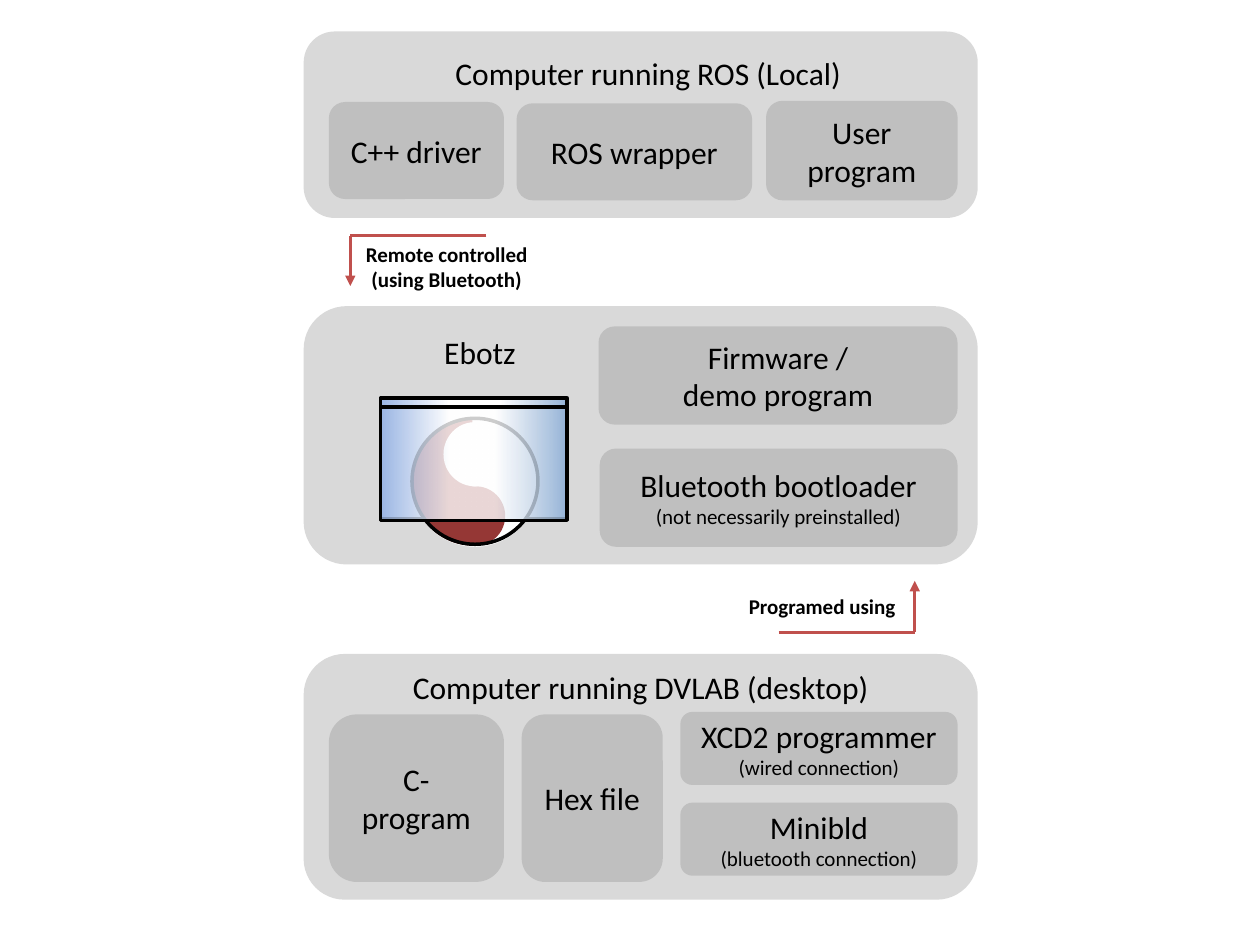
"""Build a slide showing how a small robot is programmed and remote controlled."""
from lxml import etree
from pptx import Presentation
from pptx.dml.color import RGBColor
from pptx.enum.shapes import MSO_CONNECTOR, MSO_SHAPE
from pptx.enum.text import MSO_ANCHOR, MSO_AUTO_SIZE, PP_ALIGN
from pptx.oxml.ns import qn
from pptx.util import Inches, Pt

BLACK, WHITE, ACCENT, MAROON = "000000", "FFFFFF", "C0504D", "953735"
PANEL, BOX = "D9D9D9", "BFBFBF"
PANEL_LEFT, PANEL_WIDTH = 2.41, 5.35

PANELS = [(0.25, 1.48), (2.43, 2.05), (5.19, 1.95)]

BOXES = [
    (2.61, 0.81, 1.39, 0.77, [("C++ driver", 18)]),
    (4.1, 0.82, 1.87, 0.77, [("ROS wrapper", 18)]),
    (6.08, 0.8, 1.52, 0.79, [("User program", 18)]),
    (4.75, 2.59, 2.85, 0.78, [("Firmware /", 18), ("demo program", 18)]),
    (4.76, 3.56, 2.84, 0.78, [("Bluetooth bootloader", 18), ("(not necessarily preinstalled)", 12)]),
    (2.61, 5.67, 1.39, 1.33, [("C-program", 18)]),
    (4.14, 5.67, 1.12, 1.33, [("Hex file", 18)]),
    (5.4, 5.65, 2.2, 0.58, [("XCD2 programmer", 18), ("(wired connection)", 12)]),
    (5.4, 6.37, 2.2, 0.58, [("Minibld", 18), ("(bluetooth connection)", 12)]),
]

LABELS = [
    (2.47, 0.38, 5.35, 0.4, "Computer running ROS (Local)", 18, False),
    (2.48, 2.59, 2.66, 0.4, "Ebotz", 18, False),
    (2.41, 5.25, 5.35, 0.4, "Computer running DVLAB (desktop)", 18, False),
    (2.72, 1.87, 1.65, 0.5, "Remote controlled (using Bluetooth)", 12, True),
    (5.71, 4.66, 1.63, 0.3, "Programed using", 12, True),
]

ELBOWS = [
    [(3.86, 1.87), (2.78, 1.87), (2.78, 2.27)],
    [(6.18, 5.02), (7.26, 5.02), (7.26, 4.61)],
]

BACK_GLASS = [(0, "9AB5E4"), (37, WHITE), (64, WHITE), (100, "95B3D7")]
FRONT_GLASS = [(0, "9AB5E4"), (37, WHITE), (61, WHITE), (100, "95B3D7")]

ROBOT_DISCS = [
    (MSO_SHAPE.OVAL, 3.27, 3.34, 1, 1, WHITE, None),
    (MSO_SHAPE.CHORD, 3.27, 3.33, 0.96, 1, MAROON, None),
    (MSO_SHAPE.OVAL, 3.54, 3.86, 0.47, 0.47, MAROON, None),
    (MSO_SHAPE.OVAL, 3.52, 3.35, 0.5, 0.51, WHITE, None),
    (MSO_SHAPE.OVAL, 3.27, 3.32, 1, 1, None, BLACK),
]


def rgb(value):
    """Return the colour of a hex string."""
    return RGBColor.from_string(value)


def add_part(shapes, kind, left, top, width, height, fill=None, line=None):
    """Add a flat preset shape."""
    part = shapes.add_shape(kind, *map(Inches, (left, top, width, height)))
    part.shadow.inherit = False
    if fill:
        part.fill.solid()
        part.fill.fore_color.rgb = rgb(fill)
    else:
        part.fill.background()
    if line:
        part.line.color.rgb = rgb(line)
        part.line.width = Pt(2)
    else:
        part.line.fill.background()
    return part


def set_gradient(part, stops, opacity=100):
    """Give a shape a left-to-right gradient."""
    part.fill.gradient()
    part.fill.gradient_angle = 0
    stop_list = part._element.spPr.find(qn("a:gradFill")).find(qn("a:gsLst"))
    for old in list(stop_list):
        stop_list.remove(old)
    for position, value in stops:
        stop = etree.SubElement(stop_list, qn("a:gs"), pos=str(position * 1000))
        colour = etree.SubElement(stop, qn("a:srgbClr"), val=value)
        if opacity < 100:
            etree.SubElement(colour, qn("a:alpha"), val=str(opacity * 1000))


def write(frame, lines, bold=False):
    """Write centred paragraphs of (text, size)."""
    frame.word_wrap = True
    for index, (text, size) in enumerate(lines):
        paragraph = frame.add_paragraph() if index else frame.paragraphs[0]
        paragraph.alignment = PP_ALIGN.CENTER
        run = paragraph.add_run()
        run.text = text
        run.font.name = "Calibri"
        run.font.size = Pt(size)
        run.font.bold = bold
        run.font.color.rgb = rgb(BLACK)


def add_line(shapes, start, end, arrow):
    """Add a straight accent line, with an arrowhead at its end if asked."""
    line = shapes.add_connector(MSO_CONNECTOR.STRAIGHT, *map(Inches, start + end))
    line.line.color.rgb = rgb(ACCENT)
    line.line.width = Pt(1.5)
    if arrow:
        etree.SubElement(line.line._get_or_add_ln(), qn("a:tailEnd"), type="triangle")
    etree.SubElement(line._element.spPr, qn("a:effectLst"))


def add_robot(shapes):
    """Draw the robot: a two-tone disc behind a glass panel."""
    robot = shapes.add_group_shape().shapes
    back = add_part(robot, MSO_SHAPE.RECTANGLE, 3.02, 3.16, 1.48, 0.96, line=BLACK)
    set_gradient(back, BACK_GLASS)
    for disc in ROBOT_DISCS:
        part = add_part(robot, *disc)
        if disc[0] == MSO_SHAPE.CHORD:
            part.adjustments[0], part.adjustments[1] = 54, 162
    front = add_part(robot, MSO_SHAPE.RECTANGLE, 3.02, 3.23, 1.48, 0.9, line=BLACK)
    set_gradient(front, FRONT_GLASS, 80)


presentation = Presentation()
presentation.slide_width, presentation.slide_height = Inches(10), Inches(7.5)
shapes = presentation.slides.add_slide(presentation.slide_layouts[6]).shapes

for top, height in PANELS:
    add_part(shapes, MSO_SHAPE.ROUNDED_RECTANGLE, PANEL_LEFT, top, PANEL_WIDTH, height, PANEL)

add_robot(shapes)

for *place, lines in BOXES:
    box = add_part(shapes, MSO_SHAPE.ROUNDED_RECTANGLE, *place, BOX)
    box.text_frame.vertical_anchor = MSO_ANCHOR.MIDDLE
    write(box.text_frame, lines)

for *place, text, size, bold in LABELS:
    frame = shapes.add_textbox(*map(Inches, place)).text_frame
    write(frame, [(text, size)], bold)
    frame.auto_size = MSO_AUTO_SIZE.SHAPE_TO_FIT_TEXT

for start, corner, tip in ELBOWS:
    add_line(shapes, start, corner, False)
    add_line(shapes, corner, tip, True)

presentation.save("out.pptx")
